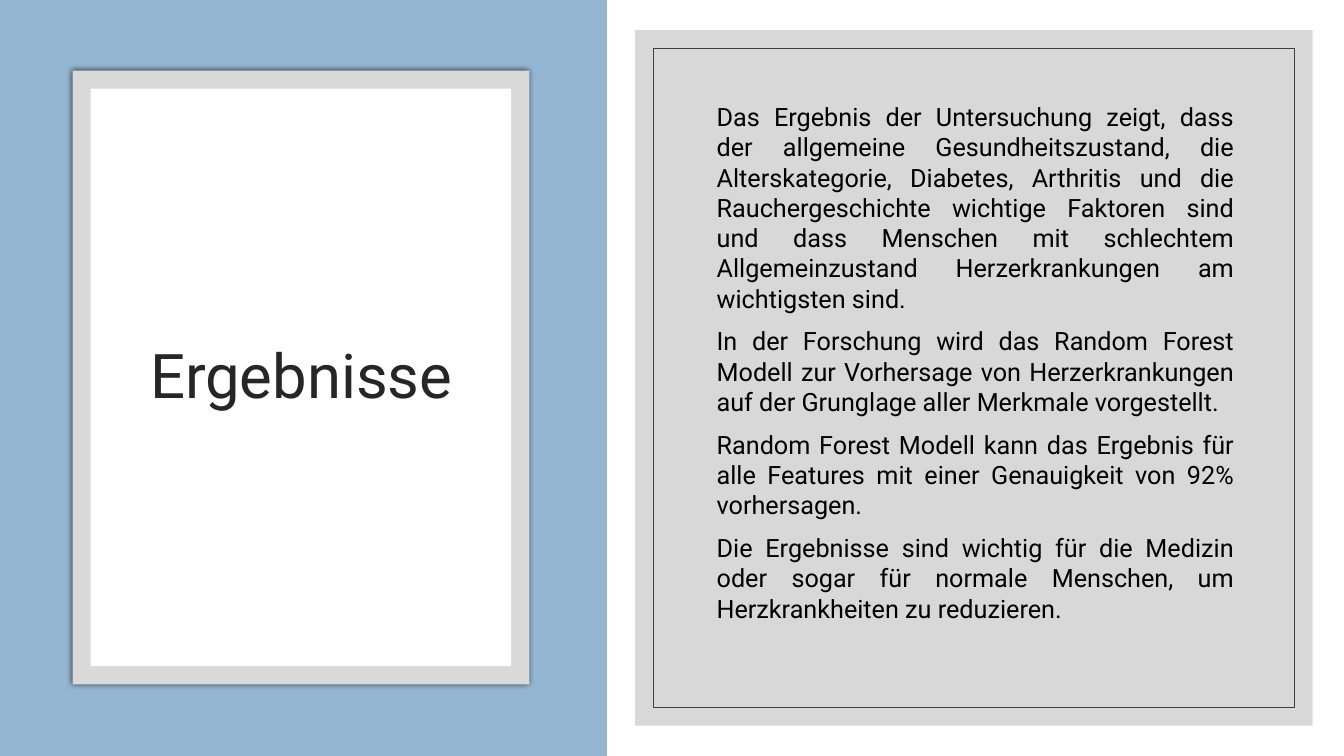
from dataclasses import dataclass

from lxml import etree
from pptx import Presentation
from pptx.dml.color import RGBColor
from pptx.enum.shapes import MSO_SHAPE
from pptx.enum.text import MSO_ANCHOR, PP_ALIGN
from pptx.oxml.ns import qn
from pptx.util import Inches, Pt

RECTANGLE = MSO_SHAPE.RECTANGLE
MIDDLE = MSO_ANCHOR.MIDDLE
CENTER = PP_ALIGN.CENTER
JUSTIFY = PP_ALIGN.JUSTIFY


@dataclass(frozen=True)
class Theme:
    font: str = "Roboto"
    title_size: int = 44
    body_size: int = 18
    paragraph_gap: int = 9
    blue: str = "94B6D2"
    frame: str = "D9D9D9"
    panel: str = "BFBFBF"
    white: str = "FFFFFF"
    outline: str = "3F3F3F"
    title_color: str = "262626"
    body_color: str = "000000"


THEME = Theme()
MARGIN = 0.18  # distance between each frame and its inner rectangle

TITLE = "Ergebnisse"
FINDINGS = [
    "Das Ergebnis der Untersuchung zeigt, dass der allgemeine Gesundheitszustand, "
    "die Alterskategorie, Diabetes, Arthritis und die Rauchergeschichte wichtige "
    "Faktoren sind und dass Menschen mit schlechtem Allgemeinzustand "
    "Herzerkrankungen am wichtigsten sind.",
    "In der Forschung wird das Random Forest Modell zur Vorhersage von "
    "Herzerkrankungen auf der Grunglage aller Merkmale vorgestellt.",
    "Random Forest Modell kann das Ergebnis für alle Features mit einer "
    "Genauigkeit von 92% vorhersagen.",
    "Die Ergebnisse sind wichtig für die Medizin oder sogar für normale Menschen, "
    "um Herzkrankheiten zu reduzieren.",
]


def add_rectangle(page, area, fill=None, line=None):
    box = page.shapes.add_shape(RECTANGLE, *map(Inches, area))
    box.shadow.inherit = False
    if fill:
        box.fill.solid()
        box.fill.fore_color.rgb = RGBColor.from_string(fill)
    else:
        box.fill.background()
    if line:
        box.line.color.rgb = RGBColor.from_string(line)
        box.line.width = Pt(0.75)
    else:
        box.line.fill.background()
    return box


def inset(area):
    left, top, width, height = area
    return left + MARGIN, top + MARGIN, width - 2 * MARGIN, height - 2 * MARGIN


def set_alpha(color, percent):
    etree.SubElement(color, qn("a:alpha"), val=str(percent * 1000))


def make_translucent(box, percent):
    set_alpha(box.fill._xPr.find(qn("a:solidFill"))[0], percent)


def add_glow_shadow(box, blur, percent):
    effects = box._element.spPr.find(qn("a:effectLst"))
    shadow = etree.SubElement(effects, qn("a:outerShdw"), blurRad=str(Pt(blur)),
                              dist="0", dir="0", algn="ctr", rotWithShape="0")
    set_alpha(etree.SubElement(shadow, qn("a:srgbClr"), val="000000"), percent)


def add_text(page, area, texts, size, color, align, line_spacing=None):
    frame = page.shapes.add_textbox(*map(Inches, area)).text_frame
    frame.word_wrap = True
    frame.vertical_anchor = MIDDLE
    for index, text in enumerate(texts):
        para = frame.add_paragraph() if index else frame.paragraphs[0]
        para.text = text
        para.alignment = align
        if line_spacing:
            para.line_spacing = line_spacing
        if index:
            para.space_before = Pt(THEME.paragraph_gap)
        para.font.name = THEME.font
        para.font.size = Pt(size)
        para.font.color.rgb = RGBColor.from_string(color)


def main():
    deck = Presentation()
    deck.slide_width, deck.slide_height = Inches(13.33), Inches(7.5)
    page = deck.slides.add_slide(deck.slide_layouts[6])

    # Framed title on the blue side
    add_rectangle(page, (0, 0, 6.02, 7.5), THEME.blue)
    title_frame = (0.72, 0.7, 4.53, 6.09)
    add_glow_shadow(add_rectangle(page, title_frame, THEME.frame), 4, 66)
    add_rectangle(page, inset(title_frame), THEME.white)
    add_text(page, (1.08, 1.3, 3.82, 4.91), [TITLE],
             THEME.title_size, THEME.title_color, CENTER, 0.9)

    # Findings on the grey panel
    panel = (6.3, 0.3, 6.72, 6.9)
    make_translucent(add_rectangle(page, panel, THEME.panel), 60)
    add_rectangle(page, inset(panel), line=THEME.outline)
    add_text(page, (7.01, 0.96, 5.33, 5.27), FINDINGS,
             THEME.body_size, THEME.body_color, JUSTIFY)

    deck.save("out.pptx")


if __name__ == "__main__":
    main()
